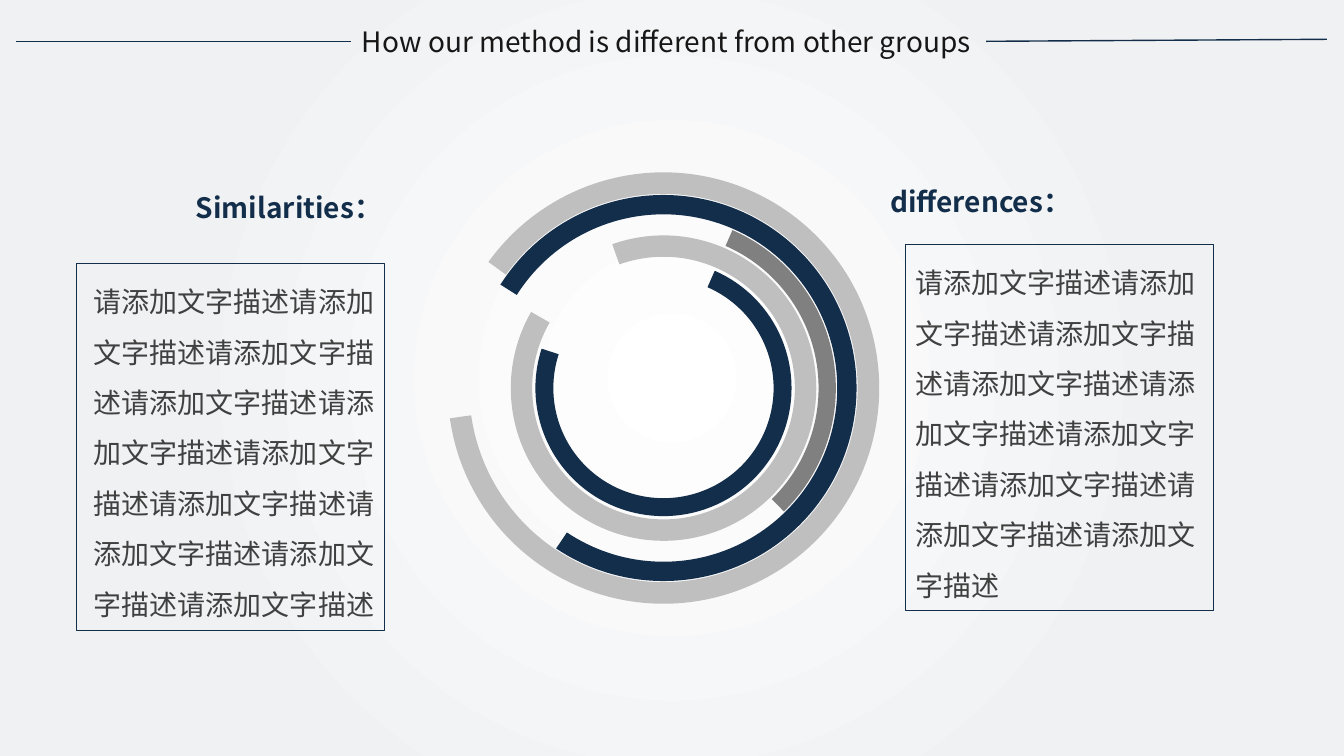
import pptx
import pptx.util
import pptx.dml.color
import pptx.enum.shapes
import pptx.enum.text
import pptx.oxml.ns
from lxml import etree

Inches = pptx.util.Inches
Pt = pptx.util.Pt
Align = pptx.enum.text.PP_ALIGN
Anchor = pptx.enum.text.MSO_ANCHOR
qn = pptx.oxml.ns.qn

COLORS = {"navy": "132E4A", "light": "BFBFBF", "gray": "808080",
          "body": "404040", "title": "181717", "white": "FFFFFF", "mist": "F0F1F3"}
FONT = "Noto Sans CJK SC"
PHRASE = "请添加文字描述"


def color(name):
    return pptx.dml.color.RGBColor.from_string(COLORS[name])


def write(frame, text, hue="body", bold=False, align=Align.LEFT, space=1.0,
          anchor=Anchor.TOP, inset=None):
    frame.word_wrap = True
    frame.auto_size = pptx.enum.text.MSO_AUTO_SIZE.SHAPE_TO_FIT_TEXT
    frame.vertical_anchor = anchor
    if inset is not None:
        frame.margin_left = frame.margin_right = Inches(inset)
        frame.margin_top = frame.margin_bottom = Inches(inset)
    para = frame.paragraphs[0]
    para.alignment = align
    para.line_spacing = space
    run = para.add_run()
    run.text = text
    font = run.font
    font.name, font.size, font.bold = FONT, Pt(20), bold
    font.color.rgb = color(hue)
    etree.SubElement(run._r.get_or_add_rPr(), qn("a:ea"), typeface=FONT)


class Deck:
    def __init__(self, show):
        self.slide = show.slides.add_slide(show.slide_layouts[6])
        self.shapes = self.slide.shapes

    def backdrop(self, inner, outer, reach):
        fill = self.slide.background.fill
        fill.gradient()
        for stop, hue, place in zip(fill.gradient_stops, (inner, outer), (0, reach)):
            stop.color.rgb = color(hue)
            stop.position = place
        lin = next(self.slide._element.iter(qn("a:lin")))
        grad = lin.getparent()
        grad.remove(lin)
        round_ = etree.SubElement(grad, qn("a:path"), path="circle")
        etree.SubElement(round_, qn("a:fillToRect"),
                         dict.fromkeys("ltrb", "50000"))

    def arc(self, mid, size, turn, start, end, thick, hue):
        left, top = (Inches(c - size / 2) for c in mid)
        shape = self.shapes.add_shape(pptx.enum.shapes.MSO_SHAPE.BLOCK_ARC,
                                      left, top, Inches(size), Inches(size))
        shape.rotation = turn
        for i, value in enumerate((start * 0.6, end * 0.6, thick)):
            shape.adjustments[i] = value
        shape.shadow.inherit = False
        shape.fill.solid()
        shape.fill.fore_color.rgb = color(hue)
        shape.line.fill.background()

    def text(self, text, left, top, width, height, edge=None, **style):
        box = self.shapes.add_textbox(*map(Inches, (left, top, width, height)))
        write(box.text_frame, text, **style)
        if edge:
            box.line.color.rgb = color(edge)
            box.line.width = Pt(0.5)

    def line(self, *ends):
        line = self.shapes.add_connector(pptx.enum.shapes.MSO_CONNECTOR.STRAIGHT,
                                         *map(Inches, ends))
        line.line.color.rgb = color("navy")
        line.line.width = Pt(1)
        etree.SubElement(line._element.spPr, qn("a:effectLst"))


show = pptx.Presentation()
show.slide_width, show.slide_height = Inches(13.33), Inches(7.5)
deck = Deck(show)
deck.backdrop("white", "mist", 0.67)

for ring in (
    (3.83, 60, 152.4, 63.76, 0.05, "navy"),
    (4.28, 82.5, 133.26, 89.43, 0.05, "light"),
    (3.42, 197.6, 96, 208.1, 0.05, "gray"),
    (3.03, 148.4, 102, 61.53, 0.07, "light"),
    (2.54, 135, 158.59, 62.91, 0.07, "navy"),
):
    deck.arc((6.58, 3.85), *ring)

for head, head_at, box_at, count, align in (
    ("differences：", (8.73, 1.78), (8.98, 2.42), 9, Align.LEFT),
    ("Similarities：", (0.72, 1.84), (0.76, 2.61), 10, Align.RIGHT),
):
    deck.text(head, *head_at, 3.17, 0.44, hue="navy", bold=True, align=align)
    deck.text(PHRASE * count, *box_at, 3.05, 3.64, edge="navy", align=align, space=1.5)

deck.text("How our method is different from other groups", 3.59, 0.24, 6.13, 0.34,
          hue="title", align=Align.JUSTIFY, anchor=Anchor.MIDDLE, inset=0)
deck.line(0.16, 0.41, 3.48, 0.41)
deck.line(9.78, 0.41, 13.16, 0.39)

show.save("out.pptx")
